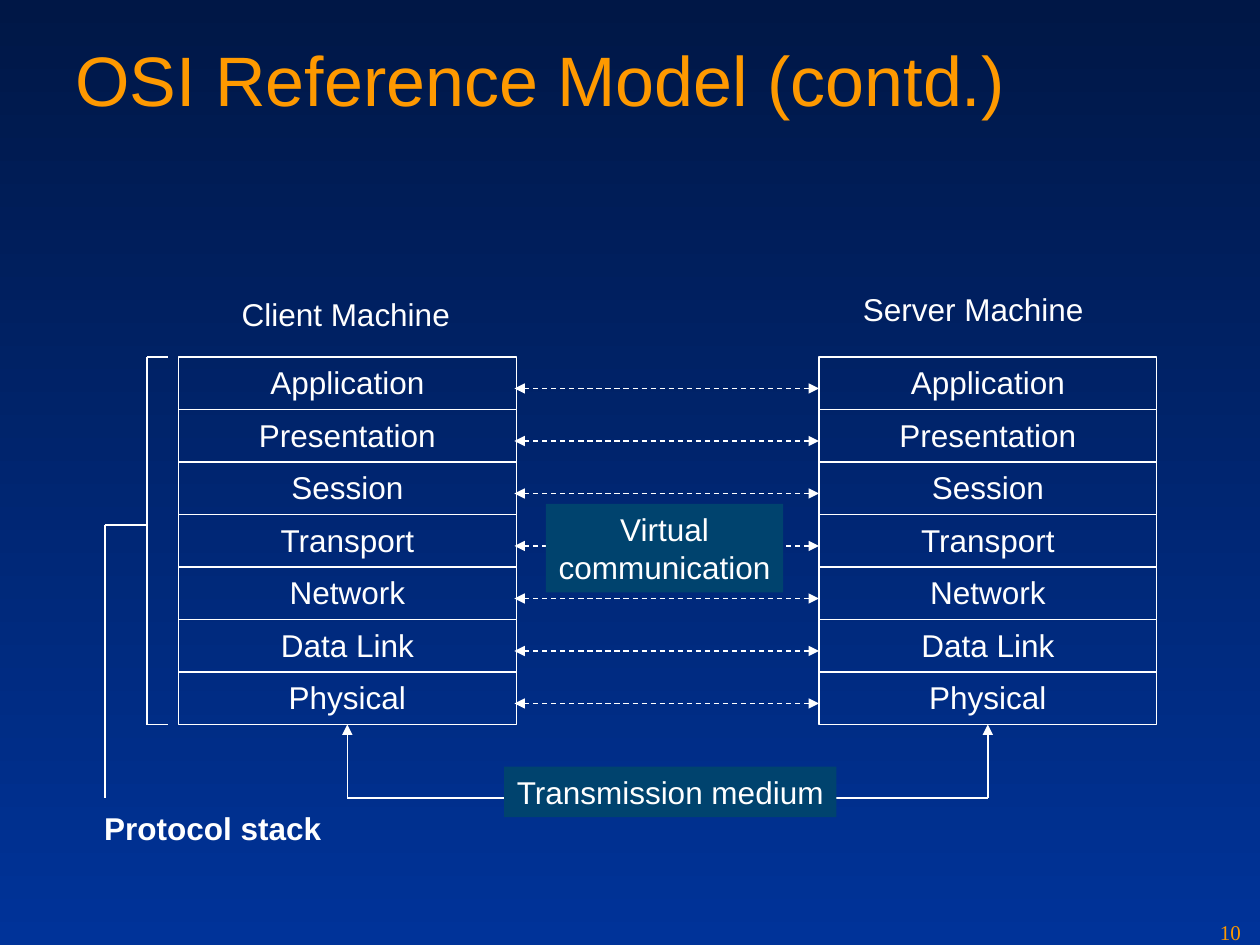
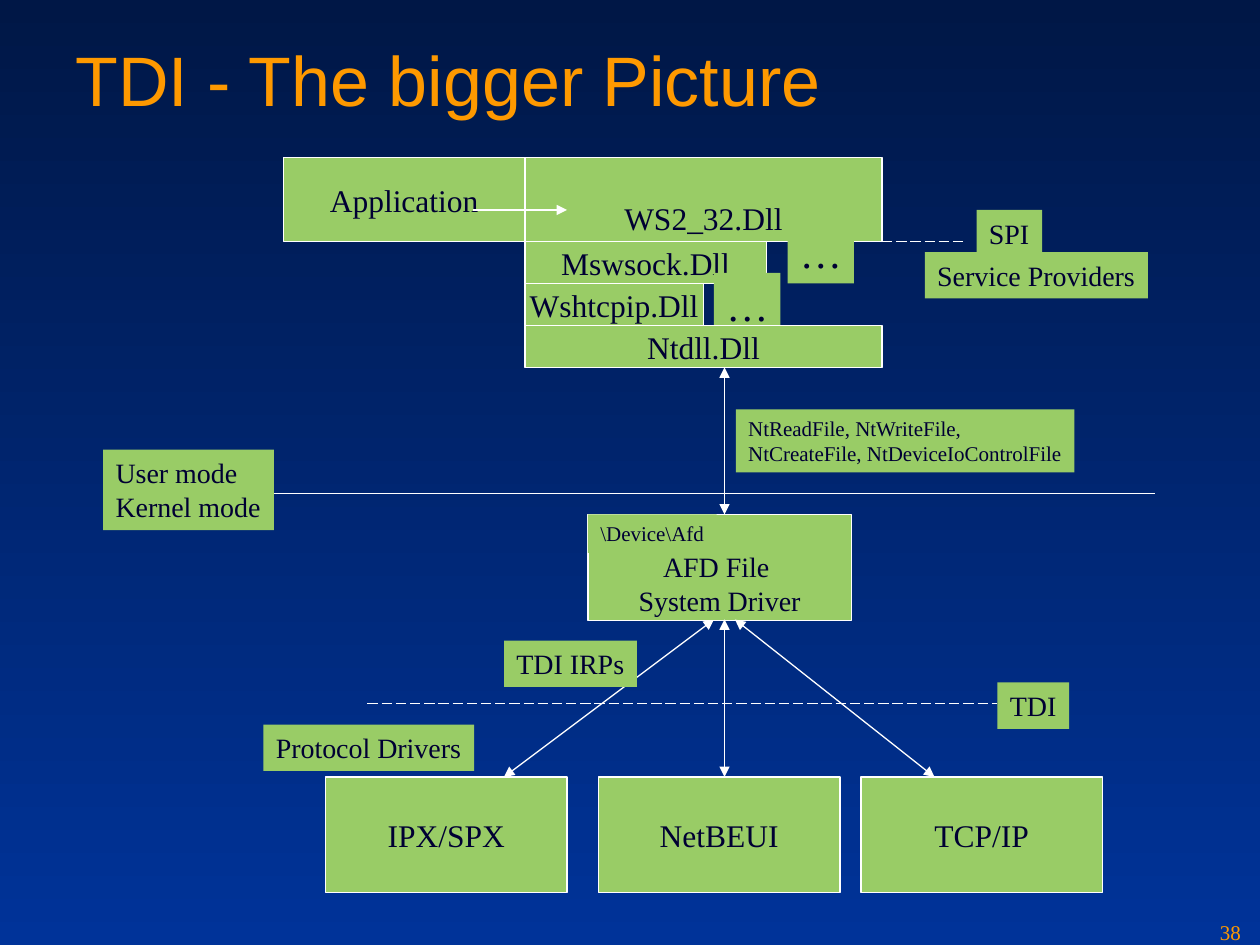
from typing import NamedTuple

import pptx
import pptx.dml.color
import pptx.enum.dml
import pptx.enum.shapes
import pptx.enum.text
import pptx.oxml
import pptx.oxml.ns
import pptx.util

Pt = pptx.util.Pt
Dash = pptx.enum.dml.MSO_LINE
Align = pptx.enum.text.PP_ALIGN
Anchor = pptx.enum.text.MSO_ANCHOR
Auto = pptx.enum.text.MSO_AUTO_SIZE

SANS, SERIF = "Arial", "Times New Roman"
COLORS = {
    "top": "001746",
    "base": "003399",
    "title": "FE9900",
    "white": "FFFFFF",
    "teal": "00436E",
    "green": "99CC66",
    "navy": "000033",
}


class Look(NamedTuple):
    font: str
    ink: str
    fill: str | None = None
    edge: bool = False
    align: Align = Align.LEFT
    anchor: Anchor = Anchor.TOP
    wrap: bool = False


class Box(NamedTuple):
    text: str
    left: float
    top: float
    width: float
    height: float
    look: Look
    size: float = 18
    bold: bool = False
    inset: float = 3.6


class Line(NamedTuple):
    x1: float
    y1: float
    x2: float
    y2: float
    head: bool = False
    tail: bool = False
    dash: Dash | None = None


PLAIN = Look(SANS, "white")
LAYER = Look(SANS, "white", edge=True, align=Align.CENTER, wrap=True)
TEAL = Look(SANS, "white", "teal", align=Align.CENTER)
NODE = Look(SERIF, "navy", "green", True, Align.CENTER, Anchor.MIDDLE)
TAG = Look(SERIF, "navy", "green")
PAGE = Look(SERIF, "title", wrap=True)


def color(name: str) -> pptx.dml.color.RGBColor:
    return pptx.dml.color.RGBColor.from_string(COLORS[name])


def set_font(frame, font: str, size: float, ink: str, align: Align, bold: bool = False) -> None:
    for para in frame.paragraphs:
        para.alignment = align
        para.font.name = font
        para.font.size = Pt(size)
        para.font.bold = bold
        para.font.color.rgb = color(ink)


def draw_box(slide, box: Box):
    look = box.look
    place = [Pt(v) for v in (box.left, box.top, box.width, box.height)]
    if look.fill or look.edge:
        shape = slide.shapes.add_shape(pptx.enum.shapes.MSO_SHAPE.RECTANGLE, *place)
        shape.shadow.inherit = False
    else:
        shape = slide.shapes.add_textbox(*place)
    if look.fill:
        shape.fill.solid()
        shape.fill.fore_color.rgb = color(look.fill)
    else:
        shape.fill.background()
    if look.edge:
        shape.line.color.rgb = color("white")
        shape.line.width = Pt(0.75)
    else:
        shape.line.fill.background()
    frame = shape.text_frame
    frame.text = box.text
    frame.word_wrap = look.wrap
    frame.auto_size = Auto.NONE
    frame.vertical_anchor = look.anchor
    frame.margin_top = Pt(box.inset)
    set_font(frame, look.font, box.size, look.ink, look.align, box.bold)
    return shape


def draw_line(slide, line: Line):
    ends = [Pt(v) for v in line[:4]]
    wire = slide.shapes.add_connector(pptx.enum.shapes.MSO_CONNECTOR.STRAIGHT, *ends)
    wire.line.color.rgb = color("white")
    wire.line.width = Pt(0.75)
    if line.dash:
        wire.line.dash_style = line.dash
    props = wire.element.spPr
    stroke = props.find(pptx.oxml.ns.qn("a:ln"))
    space = pptx.oxml.ns.nsdecls("a")
    for tag, shown in (("headEnd", line.head), ("tailEnd", line.tail)):
        if shown:
            stroke.append(pptx.oxml.parse_xml(f'<a:{tag} {space} type="triangle"/>'))
    props.append(pptx.oxml.parse_xml(f"<a:effectLst {space}/>"))
    return wire


def paint_back(deck) -> None:
    fill = deck.slide_master.background.fill
    fill.gradient()
    fill.gradient_angle = 270
    for stop, pos, name in zip(fill.gradient_stops, (0, 1), ("top", "base")):
        stop.position = pos
        stop.color.rgb = color(name)


def add_slide(deck, title: str, page: int):
    slide = deck.slides.add_slide(deck.slide_layouts[5])
    head = slide.shapes.title
    head.left, head.top, head.width, head.height = Pt(36), Pt(17.3), Pt(648), Pt(90)
    frame = head.text_frame
    frame.text = title
    frame.auto_size = Auto.NONE
    frame.vertical_anchor = Anchor.TOP
    set_font(frame, SANS, 40, "title", Align.LEFT)
    draw_box(slide, Box(str(page), 690, 522, 30, 18, PAGE, 12))
    return slide


def draw_model(deck) -> None:
    slide = add_slide(deck, "OSI Reference Model (contd.)", 10)
    layers = ("Application", "Presentation", "Session", "Transport",
              "Network", "Data Link", "Physical")
    top, step, width = 204, 30, 193
    left, right = 102, 468
    base = top + step * len(layers)

    # Two stacks of layers; the last box of each is kept for the joins
    last = []
    for x in (left, right):
        for i, name in enumerate(layers):
            shape = draw_box(slide, Box(name, x, top + i * step, width, step, LAYER))
        last.append(shape)

    # Dashed links between peer layers
    for i in range(len(layers)):
        y = top + 18 + i * step
        draw_line(slide, Line(294, y, right, y, True, True, Dash.DASH))

    # Transmission medium
    mids = [x + width / 2 for x in (left, right)]
    floor = 456
    for x, shape in zip(mids, last):
        wire = draw_line(slide, Line(x, floor, x, base, tail=True))
        wire.end_connect(shape, 2)
    draw_line(slide, Line(mids[0], floor, mids[1], floor))

    # Bracket round the client stack
    for ends in ((84, top, 84, base), (84, top, 96, top), (84, base, 96, base),
                 (60, 300, 84, 300), (60, 300, 60, floor)):
        draw_line(slide, Line(*ends))

    # Labels
    for box in (
        Box("Virtual\vcommunication", 312, 288, 135.5, 50.5, TEAL),
        Box("Transmission medium", 288, 438, 190, 29, TEAL),
        Box("Client Machine", 131, 165, 133.5, 29, PLAIN),
        Box("Server Machine", 486, 162, 140.5, 29, PLAIN),
        Box("Protocol stack", 52.5, 458.5, 138.5, 29, PLAIN, bold=True),
    ):
        draw_box(slide, box)


def draw_drivers(deck) -> None:
    slide = add_slide(deck, "TDI - The bigger Picture", 38)

    # Lines that run behind the labels
    for line in (
        Line(60, 282, 660, 282),
        Line(408, 354, 288, 444, True, True),
        Line(210, 402, 570, 402, dash=Dash.LONG_DASH),
    ):
        draw_line(slide, line)

    # User mode stack, file system driver and their labels
    for box in (
        Box("AFD File \vSystem Driver", 336, 294, 150.5, 60.5, NODE, 16, inset=22),
        Box("WS2_32.Dll", 300, 90, 204, 48, NODE, inset=24.3),
        Box("Application", 162, 90, 138, 48, NODE),
        Box("Mswsock.Dll", 300, 138, 138, 24, NODE),
        Box("Wshtcpip.Dll", 300, 162, 102, 24, NODE),
        Box("…", 408, 156, 38, 36, TAG, 24),
        Box("…", 450, 126, 38, 36, TAG, 24),
        Box("Ntdll.Dll", 300, 186, 204, 24, NODE),
        Box("User mode\nKernel mode", 59, 257, 97.5, 46, TAG, 16),
        Box("NtReadFile, NtWriteFile,\nNtCreateFile, NtDeviceIoControlFile",
            420.5, 234, 193.5, 36, TAG, 12),
        Box("\\Device\\Afd", 336, 294, 73.5, 22, TAG, 12),
    ):
        draw_box(slide, box)

    # One-line tags
    for text, x, y, width in (
        ("TDI IRPs", 288, 366, 76),
        ("TDI", 570, 390, 41),
        ("Protocol Drivers", 150.5, 414, 120.5),
        ("SPI", 558, 120, 37.5),
        ("Service Providers", 528.5, 144, 127.5),
    ):
        draw_box(slide, Box(text, x, y, width, 26.5, TAG, 16))

    # Protocol drivers
    for name, x in (("IPX/SPX", 186), ("NetBEUI", 342), ("TCP/IP", 492)):
        draw_box(slide, Box(name, x, 444, 138, 66, NODE))

    # Arrows in front
    for line in (
        Line(270, 120, 324, 120, tail=True),
        Line(504, 138, 552, 138, dash=Dash.LONG_DASH),
        Line(414, 210, 414, 294, True, True),
        Line(414, 354, 414, 444, True, True),
        Line(420, 354, 534, 444, True, True),
    ):
        draw_line(slide, line)


def main() -> None:
    deck = pptx.Presentation()
    deck.slide_width, deck.slide_height = Pt(720), Pt(540)
    paint_back(deck)
    draw_model(deck)
    draw_drivers(deck)
    deck.save("out.pptx")


if __name__ == "__main__":
    main()
